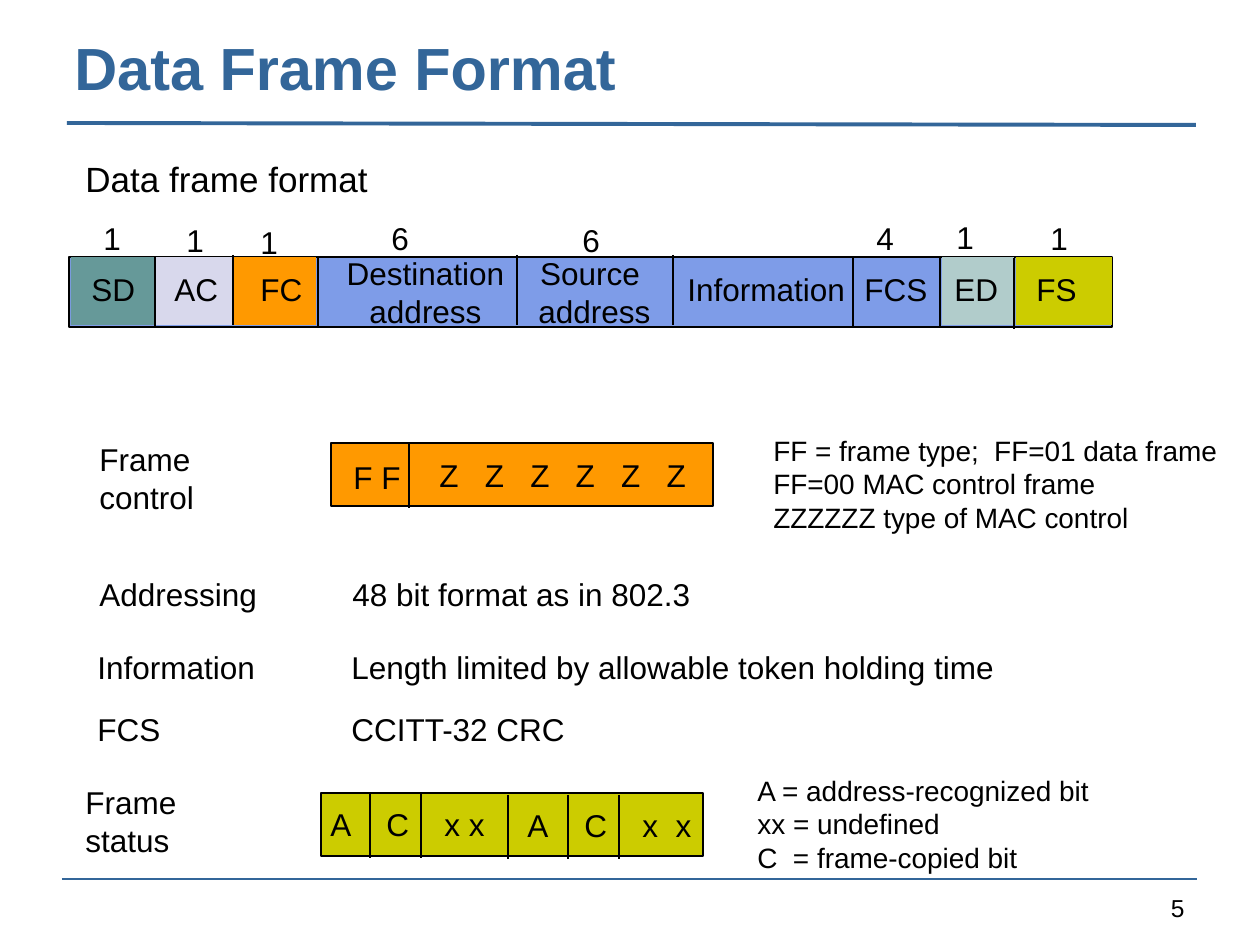
from dataclasses import dataclass

from lxml import etree
from pptx import Presentation
from pptx import util as u
from pptx.dml.color import RGBColor
from pptx.enum import shapes, text
from pptx.oxml.ns import qn
from pptx.slide import Slide

SCALE = 914400 / 126
FONT = "Arial"
BLACK, BLUE = "000000", "336699"
ORANGE, OLIVE = "FF9900", "CCCC00"
LEFT, CENTER, RIGHT = text.PP_ALIGN.LEFT, text.PP_ALIGN.CENTER, text.PP_ALIGN.RIGHT
FIXED, GROWING = text.MSO_AUTO_SIZE.NONE, text.MSO_AUTO_SIZE.SHAPE_TO_FIT_TEXT


@dataclass
class Label:
    left: int
    top: int
    width: int
    content: str
    size: int = 18
    align: text.PP_ALIGN = LEFT
    color: str = BLACK
    bold: bool = False
    fixed: bool = False


@dataclass
class Box:
    left: int
    top: int
    width: int
    height: int
    fill: str
    outlined: bool = False


@dataclass
class Rule:
    start_x: int
    start_y: int
    end_x: int
    end_y: int
    color: str = BLACK
    weight: float = 1


def px(length: float) -> int:
    return round(length * SCALE)


def rgb(value: str) -> RGBColor:
    return RGBColor.from_string(value)


def apply_format(target: object, values: dict) -> None:
    for name, value in values.items():
        setattr(target, name, value)


def draw_label(slide: Slide, label: Label) -> None:
    lines = label.content.split("\n")
    height = len(lines) * label.size * 2.1 + 12.6
    shape = slide.shapes.add_textbox(px(label.left), px(label.top), px(label.width), px(height))
    apply_format(shape.text_frame, {
        "word_wrap": label.fixed,
        "auto_size": FIXED if label.fixed else GROWING,
        "margin_left": u.Inches(0.1), "margin_right": u.Inches(0.1),
        "margin_top": u.Inches(0.05), "margin_bottom": u.Inches(0.05),
    })
    shape.text_frame.text = label.content
    for paragraph in shape.text_frame.paragraphs:
        paragraph.alignment = label.align
        font = paragraph.runs[0].font
        apply_format(font, {"name": FONT, "size": u.Pt(label.size), "bold": label.bold})
        font.color.rgb = rgb(label.color)


def draw_box(slide: Slide, box: Box) -> None:
    shape = slide.shapes.add_shape(
        shapes.MSO_SHAPE.RECTANGLE, px(box.left), px(box.top), px(box.width), px(box.height))
    shape.shadow.inherit = False
    shape.fill.solid()
    shape.fill.fore_color.rgb = rgb(box.fill)
    if box.outlined:
        shape.line.color.rgb = rgb(BLACK)
        shape.line.width = u.Pt(1)
    else:
        shape.line.fill.background()


def draw_rule(slide: Slide, rule: Rule) -> None:
    connector = slide.shapes.add_connector(
        shapes.MSO_CONNECTOR.STRAIGHT,
        px(rule.start_x), px(rule.start_y), px(rule.end_x), px(rule.end_y))
    connector.line.color.rgb = rgb(rule.color)
    connector.line.width = u.Pt(rule.weight)
    etree.SubElement(connector._element.spPr, qn("a:effectLst"))


def divider(x: int, top: int, bottom: int) -> Rule:
    return Rule(x, top, x, bottom)


BOXES = [
    Box(331, 443, 382, 63, ORANGE, True),
    Box(321, 793, 382, 63, OLIVE, True),
    Box(69, 257, 1043, 70, "7E9CE8", True),
    Box(1016, 257, 96, 68, OLIVE),
    Box(942, 257, 72, 68, "B1CCCB"),
    Box(234, 257, 82, 68, ORANGE),
    Box(71, 257, 84, 68, "669999"),
    Box(156, 257, 77, 68, "D8D8EC"),
]

RULES = [
    Rule(67, 123, 1196, 125, BLUE, 2.25),
    Rule(62, 879, 1197, 879, BLUE, 1.5),
    divider(409, 443, 508),
    *(divider(x, 793, 858) for x in (370, 421)),
    *(divider(x, 795, 859) for x in (508, 568, 619)),
    *(divider(x, 257, 326) for x in (155, 318, 853, 940)),
    *(divider(x, 255, 325) for x in (233, 517, 673)),
    divider(1014, 258, 329),
]

FIELD_NAMES = [
    Label(left, 264, width, name) for left, width, name in (
        (79, 69, "SD"), (162, 69, "AC"), (248, 67, "FC"), (675, 183, "Information"),
        (852, 88, "FCS"), (942, 69, "ED"), (1024, 66, "FS"))
]

FIELD_LENGTHS = [
    Label(left, top, 43, octets) for left, top, octets in (
        (91, 213, "1"), (174, 215, "1"), (248, 217, "1"), (379, 213, "6"),
        (570, 215, "6"), (864, 213, "4"), (944, 212, "1"), (1038, 213, "1"))
]

STATUS_BITS = [
    Label(left, top, width, bits) for left, top, width, bits in (
        (318, 799, 47, "A"), (374, 799, 48, "C"), (432, 799, 66, "x x"),
        (515, 800, 47, "A"), (572, 800, 48, "C"), (630, 800, 74, "x  x"))
]

LABELS = [
    Label(62, 25, 1136, "Data Frame Format", 34, color=BLUE, bold=True, fixed=True),
    Label(73, 151, 340, "Data frame format", 20, fixed=True),
    Label(334, 248, 183, "Destination\naddress", align=CENTER),
    Label(526, 248, 137, "Source \naddress", align=CENTER),
    *FIELD_NAMES,
    *FIELD_LENGTHS,
    Label(87, 434, 125, "Frame\ncontrol"),
    Label(341, 452, 81, "F F"),
    Label(427, 450, 272, "Z   Z   Z   Z   Z   Z"),
    Label(761, 427, 469, "FF = frame type;  FF=01 data frame\n"
          "FF=00 MAC control frame\nZZZZZZ type of MAC control", 16),
    Label(87, 569, 183, "Addressing"),
    Label(340, 569, 363, "48 bit format as in 802.3"),
    Label(85, 642, 183, "Information"),
    Label(339, 642, 668, "Length limited by allowable token holding time"),
    Label(85, 704, 88, "FCS"),
    Label(339, 704, 241, "CCITT-32 CRC"),
    Label(73, 777, 116, "Frame\nstatus"),
    *STATUS_BITS,
    Label(745, 767, 358, "A = address-recognized bit\n"
          "xx = undefined\nC  = frame-copied bit", 16),
    Label(903, 887, 294, "5", 14, RIGHT),
]


def main() -> None:
    presentation = Presentation()
    apply_format(presentation, {"slide_width": px(1260), "slide_height": px(945)})
    slide = presentation.slides.add_slide(presentation.slide_layouts[6])
    for box in BOXES:
        draw_box(slide, box)
    for rule in RULES:
        draw_rule(slide, rule)
    for label in LABELS:
        draw_label(slide, label)
    presentation.save("out.pptx")


if __name__ == "__main__":
    main()
